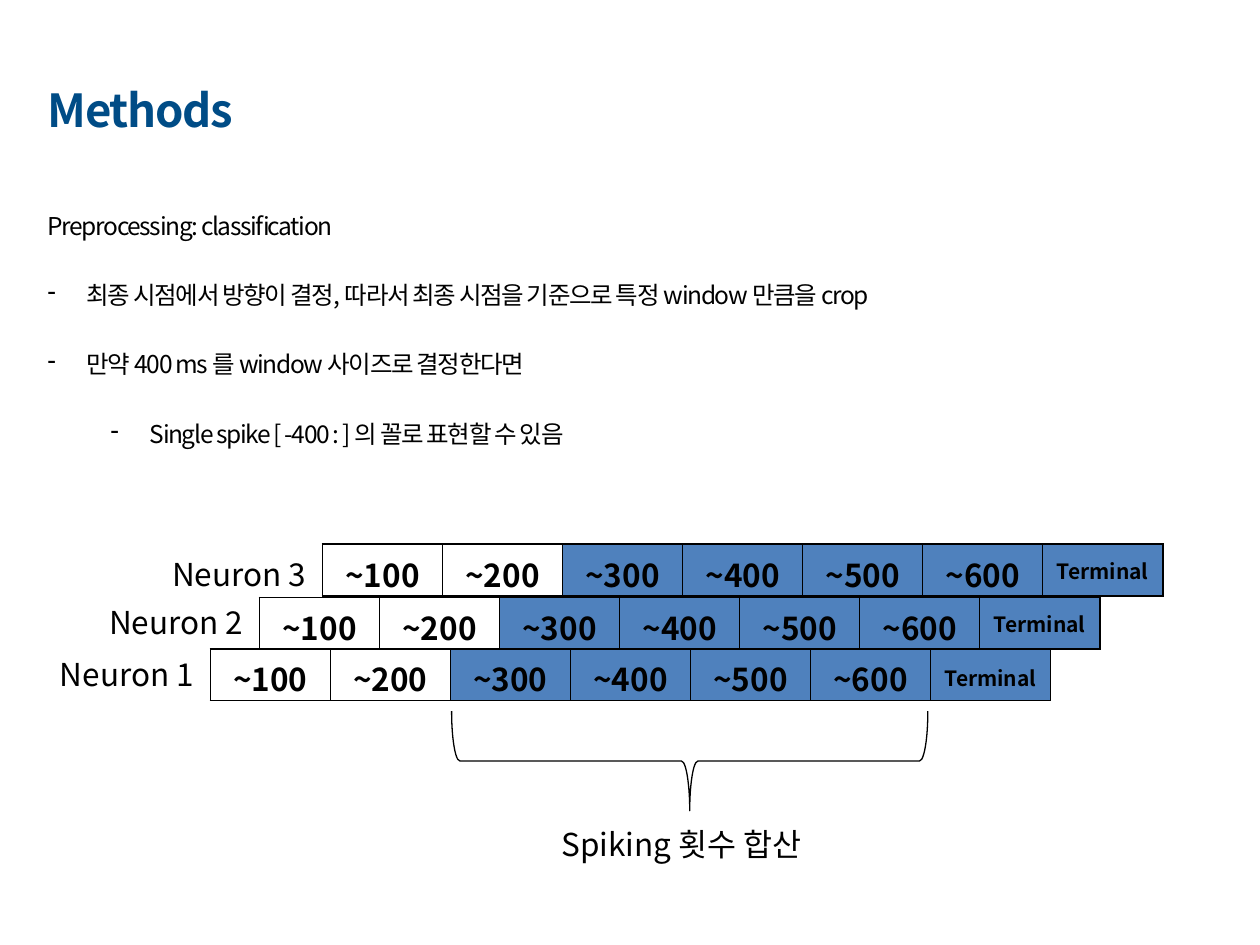
from lxml import etree
from pptx import Presentation
from pptx.dml.color import RGBColor
from pptx.enum.shapes import MSO_SHAPE
from pptx.enum.text import MSO_ANCHOR, MSO_AUTO_SIZE, PP_ALIGN
from pptx.oxml.ns import qn
from pptx.util import Cm, Pt

LEFT, CENTER = PP_ALIGN.LEFT, PP_ALIGN.CENTER
TOP, MIDDLE = MSO_ANCHOR.TOP, MSO_ANCHOR.MIDDLE
FIT, NO_FIT = MSO_AUTO_SIZE.SHAPE_TO_FIT_TEXT, MSO_AUTO_SIZE.NONE
FONT = "Noto Sans CJK KR"
BLACK, WHITE, BLUE, NAVY = "000000", "FFFFFF", "4F81BD", "004C86"

TITLE = "Methods"
BODY = [  # text, level, left indent in cm (None: no bullet)
    ("Preprocessing: classification", 0, None),
    ("최종 시점에서 방향이 결정, 따라서 최종 시점을 기준으로 특정 window 만큼을 crop", 0, 0.79),
    ("만약 400 ms 를 window 사이즈로 결정한다면", 0, 0.79),
    ("Single spike [ -400 : ] 의 꼴로 표현할 수 있음", 1, 2.06),
]
HANGING = 0.79
BINS = ["~100", "~200", "~300", "~400", "~500", "~600", "Terminal"]
EARLY_BINS = 2
NEURONS = [  # label, table left, table top, label top, early fill, bottom margin
    ("Neuron 3", 6.5, 10.97, 11.07, None, 0.13),
    ("Neuron 2", 5.23, 12.04, 12.04, WHITE, 0.13),
    ("Neuron 1", 4.24, 13.08, 13.08, WHITE, 0),
]
BIN_W, BIN_H = 2.42, 1.04
LABEL_W, LABEL_H = 3.28, 1.02
CAPTION = "Spiking 횟수 합산"


def rgb(value):
    return RGBColor.from_string(value)


def add_run(p, text, size, color=BLACK, bold=False, spacing=None):
    r = p.add_run()
    r.text = text
    for name, value in {"name": FONT, "size": Pt(size), "bold": bold}.items():
        setattr(r.font, name, value)
    r.font.color.rgb = rgb(color)
    rPr = r.font._element
    etree.SubElement(rPr, qn("a:ea"), typeface=FONT)
    if spacing is not None:
        rPr.set("spc", str(round(spacing * 100)))


def add_text_box(slide, box, wrap):
    tf = slide.shapes.add_textbox(*map(Cm, box)).text_frame
    tf.word_wrap = wrap
    tf.auto_size = FIT
    return tf


def add_label(slide, text, box):
    add_run(add_text_box(slide, box, False).paragraphs[0], text, 18)


def set_bullet(p, indent):
    pPr = p._p.get_or_add_pPr()
    pPr.set("marL", str(Cm(indent)))
    pPr.set("indent", str(-Cm(HANGING)))
    etree.SubElement(pPr, qn("a:buChar"), char="-")


def set_borders(cell):
    tcPr = cell._tc.get_or_add_tcPr()
    for side in ("lnL", "lnR", "lnT", "lnB"):
        ln = etree.SubElement(tcPr, qn(f"a:{side}"), w=str(Pt(1)))
        fill = etree.SubElement(ln, qn("a:solidFill"))
        etree.SubElement(fill, qn("a:srgbClr"), val=BLACK)


def add_bins(slide, left, top, early_fill, bottom):
    size = (BIN_W * len(BINS), BIN_H)
    table = slide.shapes.add_table(1, len(BINS), *map(Cm, (left, top, *size))).table
    table.first_row = table.horz_banding = False
    for i, text in enumerate(BINS):
        table.columns[i].width = Cm(BIN_W)
        cell = table.cell(0, i)
        set_borders(cell)
        fill = early_fill if i < EARLY_BINS else BLUE
        if fill:
            cell.fill.solid()
            cell.fill.fore_color.rgb = rgb(fill)
        else:
            cell.fill.background()
        cell.vertical_anchor = MIDDLE
        cell.margin_bottom = Cm(bottom)
        p = cell.text_frame.paragraphs[0]
        p.alignment = CENTER
        add_run(p, text, 12 if text == "Terminal" else 18, bold=True)


def main():
    prs = Presentation()
    prs.slide_width, prs.slide_height = Cm(25.4), Cm(19.05)
    slide = prs.slides.add_slide(prs.slide_layouts[5])

    title = slide.shapes.title
    title.left, title.top, title.width, title.height = map(Cm, (0.71, 1.52, 22, 1.37))
    tf = title.text_frame
    for name, value in {"vertical_anchor": TOP, "word_wrap": True, "auto_size": NO_FIT}.items():
        setattr(tf, name, value)
    tf.paragraphs[0].alignment = LEFT
    add_run(tf.paragraphs[0], TITLE, 26, NAVY, True, -0.8)

    tf = add_text_box(slide, (0.71, 3.53, 18.9, 6.91), True)
    for i, (text, level, indent) in enumerate(BODY):
        p = tf.add_paragraph() if i else tf.paragraphs[0]
        for name, value in {"level": level, "line_spacing": 2.0, "space_before": Pt(6)}.items():
            setattr(p, name, value)
        if indent is not None:
            set_bullet(p, indent)
        add_run(p, text, 14, spacing=-0.8)

    for label, left, top, label_top, early_fill, bottom in NEURONS:
        add_bins(slide, left, top, early_fill, bottom)
        add_label(slide, label, (left - LABEL_W, label_top, LABEL_W, LABEL_H))

    brace = slide.shapes.add_shape(MSO_SHAPE.LEFT_BRACE, *map(Cm, (12.9, 10.54, 2.01, 9.6)))
    brace.rotation = 270
    brace.shadow.inherit = False
    brace.fill.background()
    brace.line.color.rgb = rgb(BLACK)
    brace.line.width = Pt(0.75)
    add_label(slide, CAPTION, (11.07, 16.51, 5.66, LABEL_H))

    prs.save("out.pptx")


if __name__ == "__main__":
    main()
